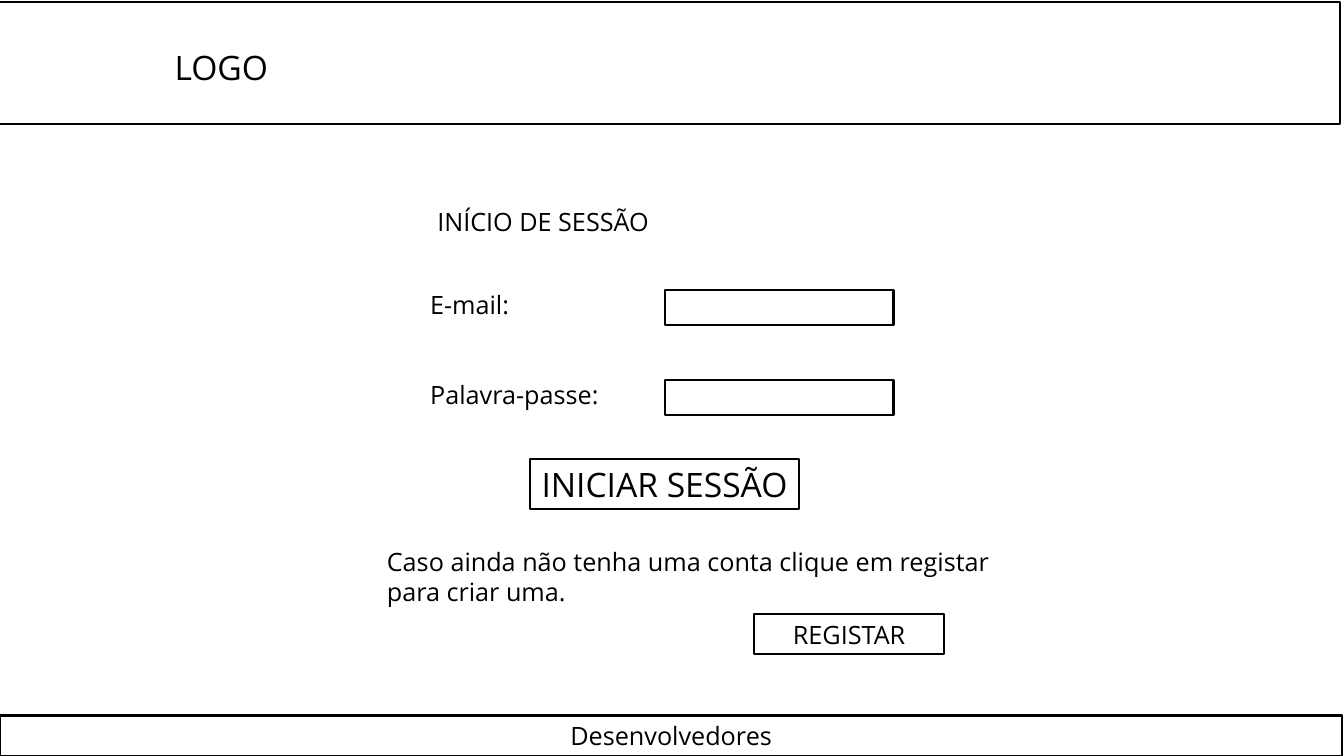
from pptx import Presentation
from pptx.dml.color import RGBColor
from pptx.enum.shapes import MSO_SHAPE
from pptx.enum.text import MSO_ANCHOR, PP_ALIGN
from pptx.util import Cm, Pt

FONT = "Open Sans"
INK = "000000"
PAPER = "FFFFFF"
ROW_PITCH = 2.26


def colour(hex_code):
    return RGBColor.from_string(hex_code)


def write(shape, text, size=18, align=PP_ALIGN.LEFT, anchor=MSO_ANCHOR.TOP):
    frame = shape.text_frame
    frame.word_wrap = True
    frame.vertical_anchor = anchor
    frame.margin_left = frame.margin_right = Cm(0.25)
    frame.margin_top = frame.margin_bottom = Cm(0.13)
    frame.text = text
    paragraph = frame.paragraphs[0]
    paragraph.alignment = align
    paragraph.font.name = FONT
    paragraph.font.size = Pt(size)
    paragraph.font.color.rgb = colour(INK)


def add_frame(slide, left, top, width, height):
    """Add an outlined white rectangle; lengths in centimetres."""
    frame = slide.shapes.add_shape(
        MSO_SHAPE.RECTANGLE, Cm(left), Cm(top), Cm(width), Cm(height))
    frame.shadow.inherit = False
    frame.fill.solid()
    frame.fill.fore_color.rgb = colour(PAPER)
    frame.line.color.rgb = colour(INK)
    frame.line.width = Pt(1.5)
    return frame


def add_text(slide, text, left, top, width, height):
    box = slide.shapes.add_textbox(Cm(left), Cm(top), Cm(width), Cm(height))
    write(box, text)


def add_button(slide, text, left, top, width, height, size=18):
    button = add_frame(slide, left, top, width, height)
    write(button, text, size, PP_ALIGN.CENTER, MSO_ANCHOR.MIDDLE)


def add_header(slide, left, top, width, height):
    header = add_frame(slide, left, top, width, height)
    write(header, "LOGO", 24, anchor=MSO_ANCHOR.MIDDLE)
    header.text_frame.margin_left = Cm(4.43)
    header.text_frame.margin_top = Cm(0.33)


def add_heading(slide, left, top, width, height):
    heading = slide.shapes.title
    heading.left, heading.top = Cm(left), Cm(top)
    heading.width, heading.height = Cm(width), Cm(height)
    write(heading, "INÍCIO DE SESSÃO")


def add_field(slide, label, left, top, width, height):
    """Add a label with its entry box at the right end of the row."""
    entry_width = 5.77
    add_text(slide, label, left, top, width - entry_width, height)
    add_frame(slide, left + width - entry_width, top + 0.15, entry_width, 0.89)


def add_login_form(slide, left, top):
    add_heading(slide, left + 1.27, top, 10.77, 1.02)
    for row, label in enumerate(["E-mail:", "Palavra-passe:"]):
        add_field(slide, label, left + 1.09, top + 2.08 + row * ROW_PITCH, 11.93, 1.02)
    add_button(slide, "INICIAR SESSÃO", left + 3.86, top + 6.48, 6.78, 1.27, size=24)


def add_registration(slide, left, top):
    add_text(slide, "Caso ainda não tenha uma conta clique em registar para criar uma.",
             left, top, 17.09, 1.8)
    add_button(slide, "REGISTAR", left + 9.5, top + 1.83, 4.8, 1.02)


def main():
    presentation = Presentation()
    presentation.slide_width = Cm(33.87)
    presentation.slide_height = Cm(19.05)
    slide = presentation.slides.add_slide(
        presentation.slide_layouts.get_by_name("Title Only"))
    add_header(slide, -0.03, 0.05, 33.81, 3.07)
    add_login_form(slide, 9.5, 5.08)
    add_registration(slide, 9.5, 13.64)
    add_button(slide, "Desenvolvedores", 0, 18.03, 33.83, 1.02)
    presentation.save("out.pptx")


if __name__ == "__main__":
    main()
